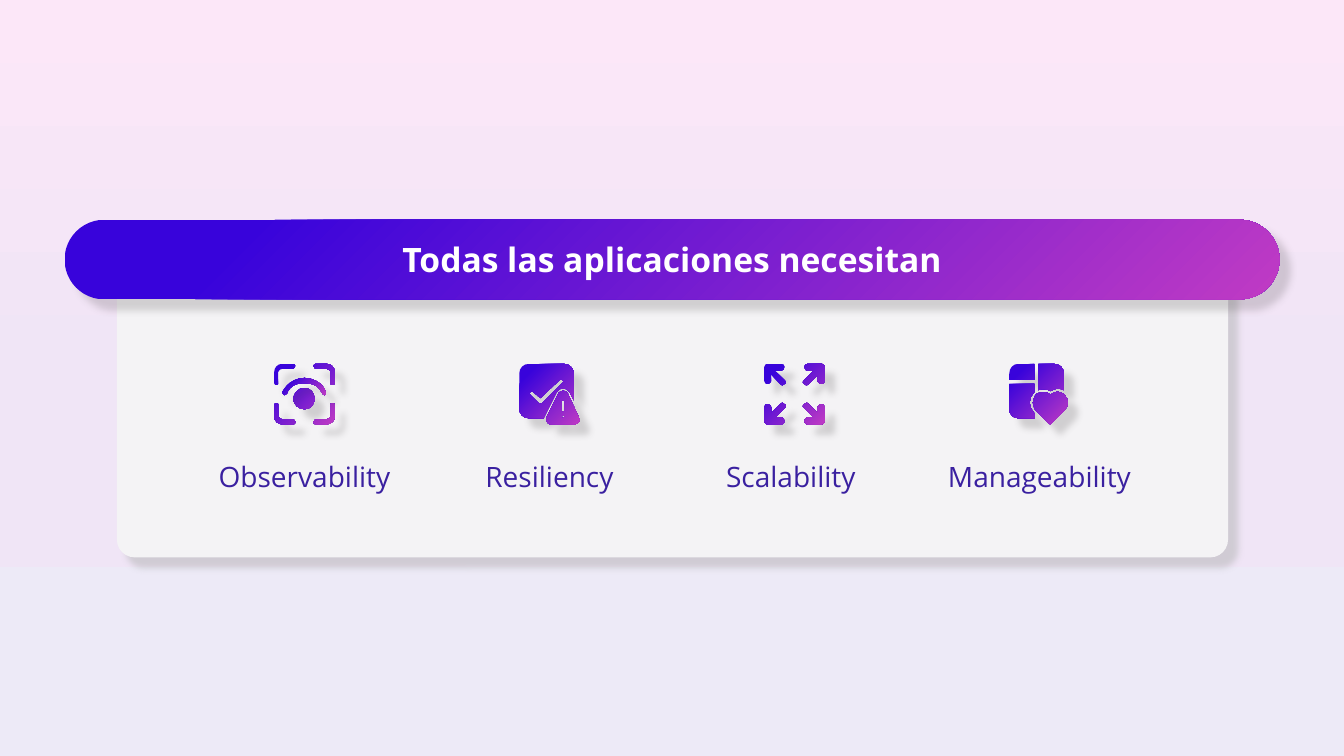
"""Build a slide naming the four qualities every application needs."""
from pptx import Presentation
from pptx.dml.color import RGBColor
from pptx.enum.shapes import MSO_SHAPE as Preset
from pptx.enum.text import MSO_ANCHOR as Anchor, MSO_AUTO_SIZE as AutoSize, PP_ALIGN as Align
from pptx.oxml import parse_xml
from pptx.oxml.ns import nsdecls, qn
from pptx.util import Inches, Pt

PINK = RGBColor(0xFC, 0xE7, 0xF8)
ORCHID = RGBColor(0xF0, 0xE5, 0xF6)
LAVENDER = RGBColor(0xED, 0xEA, 0xF7)
MAGENTA = RGBColor(0xC0, 0x3B, 0xC4)
INDIGO = RGBColor(0x38, 0x03, 0xDB)
PURPLE = RGBColor(0x3A, 0x20, 0xA0)
CARD = RGBColor(0xF4, 0xF3, 0xF5)
GREY = RGBColor(0xB1, 0xB3, 0xB3)
CHARCOAL = RGBColor(0x45, 0x41, 0x42)
WHITE = RGBColor(0xFF, 0xFF, 0xFF)

FONT = "Open Sans"
ICON_SIZE = 60
ICON_TOP = 3.61
FIRST_CENTER = 3.02
COLUMN_STEP = 2.43
DOWNWARD = '<a:lin ang="5400000" scaled="0"/>'
FROM_CORNER = '<a:path path="circle"><a:fillToRect l="100000" t="100000"/></a:path>'
BRAND_STOPS = [(0, MAGENTA), (85, INDIGO)]

BRACKET = ("21 2, 21 1 20 0 19 0, 8 0, 3 0 0 4 0 8, 0 19, 0 20 1 21 2 21, "
           "4 21 4 20 4 19, 4 8, 5 6 6 5 8 5, 19 5, 20 4 21 3 21 2")
PUPIL = ("19 35, 19 29 24 24 30 24, 36 24 40 29 40 35, "
         "40 40 36 45 30 45, 24 45 19 40 19 35")
BROW = ("13 29, 12 30 11 31 10 31, 8 30 8 28 8 28, 9 26 12 22 13 21, "
        "16 18 22 14 30 14, 38 14 44 18 47 21, 49 23 51 26 51 28, "
        "52 29 51 30 50 31, 49 31 48 30 47 28, 46 26 45 25 44 24, "
        "41 21 37 19 30 19, 23 19 19 21 16 24, 14 26 13 28 13 29")
TILE = ("10 0, 4 0 0 4 0 10, 0 44, 0 50 4 54 10 54, 24 54, 24 53 24 53 25 52, "
        "37 28, 40 23 47 23 50 28, 54 36, 54 10, 54 4 50 0 44 0")
TICK = ("43 19, 23 39, 22 40 20 40 19 39, 11 31, 10 30 10 29 11 28, "
        "12 27 13 27 14 28, 21 34, 40 16, 41 15 42 15 43 16, 44 17 44 18 43 19")
WARNING = ("39 29, 27 53, 26 56 28 60 31 60, 55 60, 59 60 61 56 59 53, "
           "48 29, 46 26 41 26 39 29")
WARNING_BAR = ("45 37, 45 46, 45 47 44 48 43 48, 43 48 42 47 42 46, 42 37, "
               "42 37 43 36 43 36, 44 36 45 37 45 37")
WARNING_DOT = ("43 54, 43 54 42 53 42 53, 42 52 43 51 43 51, "
               "44 51 45 52 45 53, 45 53 44 54 43 54")
ARROW = ("17 0, 19 0 20 1 20 3, 20 5 19 7 17 7, 11 7, 20 16, 22 17 22 19 21 20, "
         "20 20, 19 22 17 22 16 20, 7 11, 7 17, 7 18 5 20 4 20, 3 20, "
         "2 20 0 19 0 17, 0 3, 0 1 2 0 3 0")
LOWER_LEFT_PANE = ("25 54, 25 49, 24 48, 19 43 19 34 24 29, 24 29 25 29 25 28, "
                   "25 20, 0 20, 0 45, 0 50 4 54 9 54")
UPPER_RIGHT_PANE = ("54 10, 54 26, 50 24 45 24 41 27, 37 25 33 24 29 26, 29 0, "
                    "44 0, 50 0 54 4 54 9")
UPPER_LEFT_PANE = "25 16, 25 0, 9 0, 4 0 0 4 0 10, 0 16"
HEART = ("25 44, 23 41 23 36 25 33, 25 32 26 32 26 31, 27 30 28 29 29 29, "
         "33 27 37 28 40 30, 41 31, 42 30, 45 27 50 27 54 30, 54 30 55 30 55 31, "
         "59 35 59 42 55 46, 42 59, 42 60 41 60 41 60, 40 60 40 60 39 59, "
         "26 46, 26 45 25 45 25 44")


def trace(outline):
    """Split an outline into segments of one point (line) or three (curve)."""
    segments = []
    for segment in outline.split(","):
        numbers = [int(number) for number in segment.split()]
        segments.append(list(zip(numbers[::2], numbers[1::2])))
    return segments


def mirror_corners(outline):
    """Repeat an outline in all four corners of the icon square."""
    return [[[(abs(right - x), abs(bottom - y)) for x, y in segment]
             for segment in trace(outline)]
            for right in (0, ICON_SIZE) for bottom in (0, ICON_SIZE)]


def bend_lines(shape, contours):
    """Join the three lines of every curved segment into one cubic curve."""
    lines = shape.element.iter(qn("a:lnTo"))
    lines = iter(list(lines))
    for contour in contours:
        for segment in contour[1:]:
            legs = [next(lines) for _ in segment]
            if len(legs) == 3:
                curve = parse_xml(f'<a:cubicBezTo {nsdecls("a")}/>')
                legs[0].addprevious(curve)
                for leg in legs:
                    curve.append(leg[0])
                    leg.getparent().remove(leg)


def apply_gradient(fill, properties, stops, direction):
    """Replace a fill with a gradient in the given direction."""
    fill.solid()
    colors = "".join(f'<a:gs pos="{position * 1000}"><a:srgbClr val="{color}"/></a:gs>'
                     for position, color in stops)
    gradient = parse_xml(f'<a:gradFill {nsdecls("a")} rotWithShape="1">'
                         f'<a:gsLst>{colors}</a:gsLst>{direction}</a:gradFill>')
    properties.replace(properties.find(qn("a:solidFill")), gradient)


def cast_shadow(shape, color, opacity):
    """Give a shape no outline and a soft shadow to the lower right."""
    shape.line.fill.background()
    shape.shadow.inherit = False
    shape.element.spPr.find(qn("a:effectLst")).append(parse_xml(
        f'<a:outerShdw {nsdecls("a")} blurRad="{Pt(5)}" dist="{Pt(10)}" dir="2700000" '
        f'algn="tl" rotWithShape="0"><a:srgbClr val="{color}">'
        f'<a:alpha val="{opacity * 1000}"/></a:srgbClr></a:outerShdw>'))


def style_brand(shape):
    """Apply the indigo to magenta look shared by banner and icons."""
    apply_gradient(shape.fill, shape.element.spPr, BRAND_STOPS, FROM_CORNER)
    cast_shadow(shape, CHARCOAL, 20)


def write_text(shape, text, color, size, frame_format, bold=False):
    """Write one centred line of text."""
    frame = shape.text_frame
    for name, value in frame_format.items():
        setattr(frame, name, value)
    para = frame.paragraphs[0]
    para.alignment = Align.CENTER
    span = para.add_run()
    span.text = text
    span.font.color.rgb = color
    for name, value in {"name": FONT, "size": Pt(size), "bold": bold}.items():
        setattr(span.font, name, value)


def add_panel(slide, left, top, width, height, rounding):
    """Add a rounded rectangle."""
    panel = slide.shapes.add_shape(Preset.ROUNDED_RECTANGLE, Inches(left), Inches(top),
                                   Inches(width), Inches(height))
    panel.adjustments[0] = rounding
    return panel


def add_card(slide):
    """Add the pale card behind the icons."""
    card = add_panel(slide, 1.16, 2.6, 11.02, 2.93, 0.06)
    card.fill.solid()
    card.fill.fore_color.rgb = CARD
    cast_shadow(card, GREY, 50)


def add_icon(slide, center, contours):
    """Add one freeform made of closed contours."""
    unit = Inches(0.01)
    builder = None
    for contour in contours:
        start, *rest = [(x * unit, y * unit) for segment in contour for x, y in segment]
        if builder is None:
            builder = slide.shapes.build_freeform(*start)
        else:
            builder.move_to(*start)
        builder.add_line_segments(rest, close=False)
        builder.add_line_segments([], close=True)
    left = Inches(center) - ICON_SIZE * unit // 2
    icon = builder.convert_to_shape(left, Inches(ICON_TOP))
    bend_lines(icon, contours)
    style_brand(icon)


def add_label(slide, center, text, width):
    """Add the caption below an icon."""
    box = slide.shapes.add_textbox(Inches(center - width / 2), Inches(4.51),
                                   Inches(width), Inches(0.44))
    write_text(box, text, PURPLE, 20,
               {"word_wrap": True, "auto_size": AutoSize.SHAPE_TO_FIT_TEXT})


def add_banner(slide, text):
    """Add the pill-shaped heading in front of the card."""
    banner = add_panel(slide, 0.64, 2.18, 12.05, 0.79, 0.5)
    style_brand(banner)
    margins = {f"margin_{side}": 0 for side in ("left", "top", "right", "bottom")}
    write_text(banner, text, WHITE, 24,
               {"word_wrap": True, "vertical_anchor": Anchor.MIDDLE, **margins}, bold=True)


def main():
    """Build and save the deck."""
    deck = Presentation()
    deck.slide_width, deck.slide_height = Inches(13.33), Inches(7.5)
    slide = deck.slides.add_slide(deck.slide_layouts.get_by_name("Blank"))
    background = slide.background.fill
    background.solid()
    apply_gradient(background, slide.element.cSld.bg.bgPr,
                   [(0, PINK), (50, ORCHID), (100, LAVENDER)], DOWNWARD)
    add_card(slide)
    resilience = [TILE, TICK, WARNING, WARNING_BAR, WARNING_DOT]
    panes = [LOWER_LEFT_PANE, UPPER_RIGHT_PANE, HEART, UPPER_LEFT_PANE]
    qualities = [
        ("Observability", 2, mirror_corners(BRACKET) + [trace(PUPIL)]),
        ("Resiliency", 2, [trace(outline) for outline in resilience]),
        ("Scalability ", 2, mirror_corners(ARROW)),
        ("Manageability", 2.2, [trace(outline) for outline in panes]),
    ]
    for column, (name, width, contours) in enumerate(qualities):
        center = FIRST_CENTER + column * COLUMN_STEP
        add_icon(slide, center, contours)
        add_label(slide, center, name, width)
    add_icon(slide, FIRST_CENTER, [trace(BROW)])
    add_banner(slide, "Todas las aplicaciones necesitan")
    deck.save("out.pptx")


if __name__ == "__main__":
    main()
